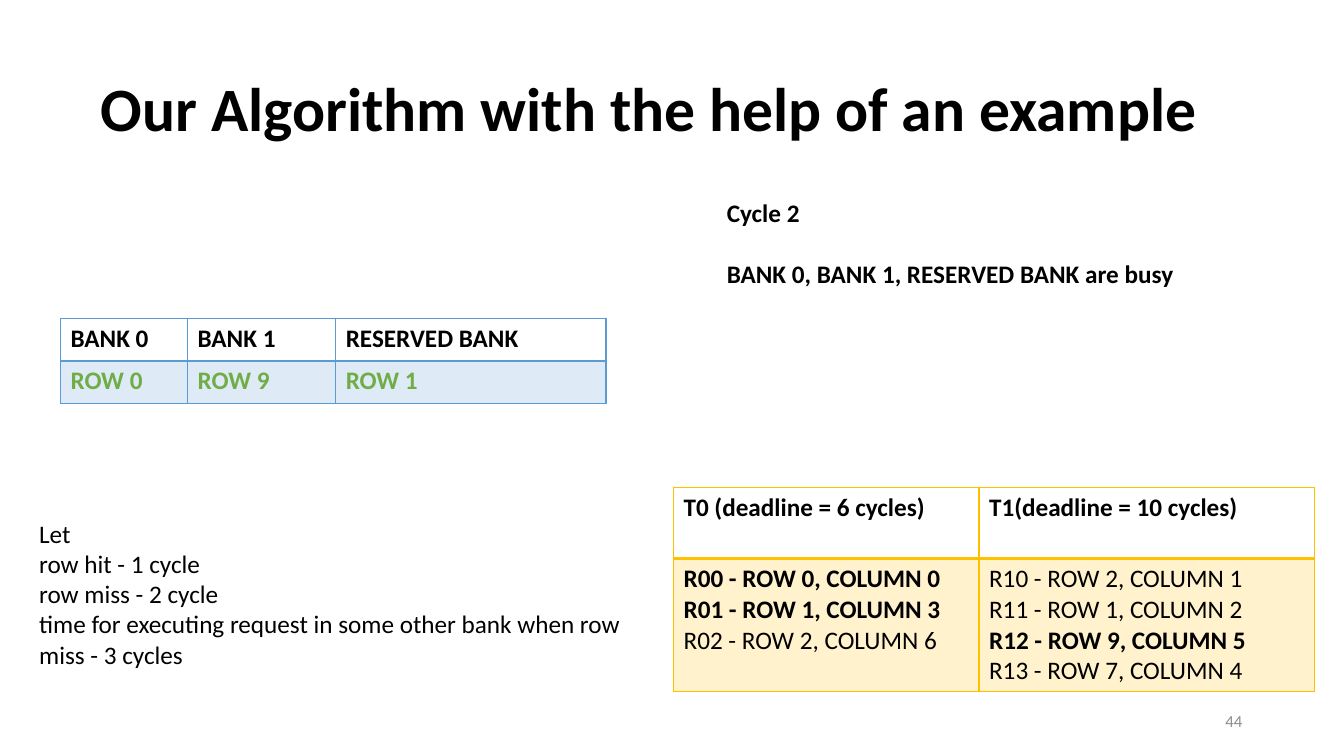
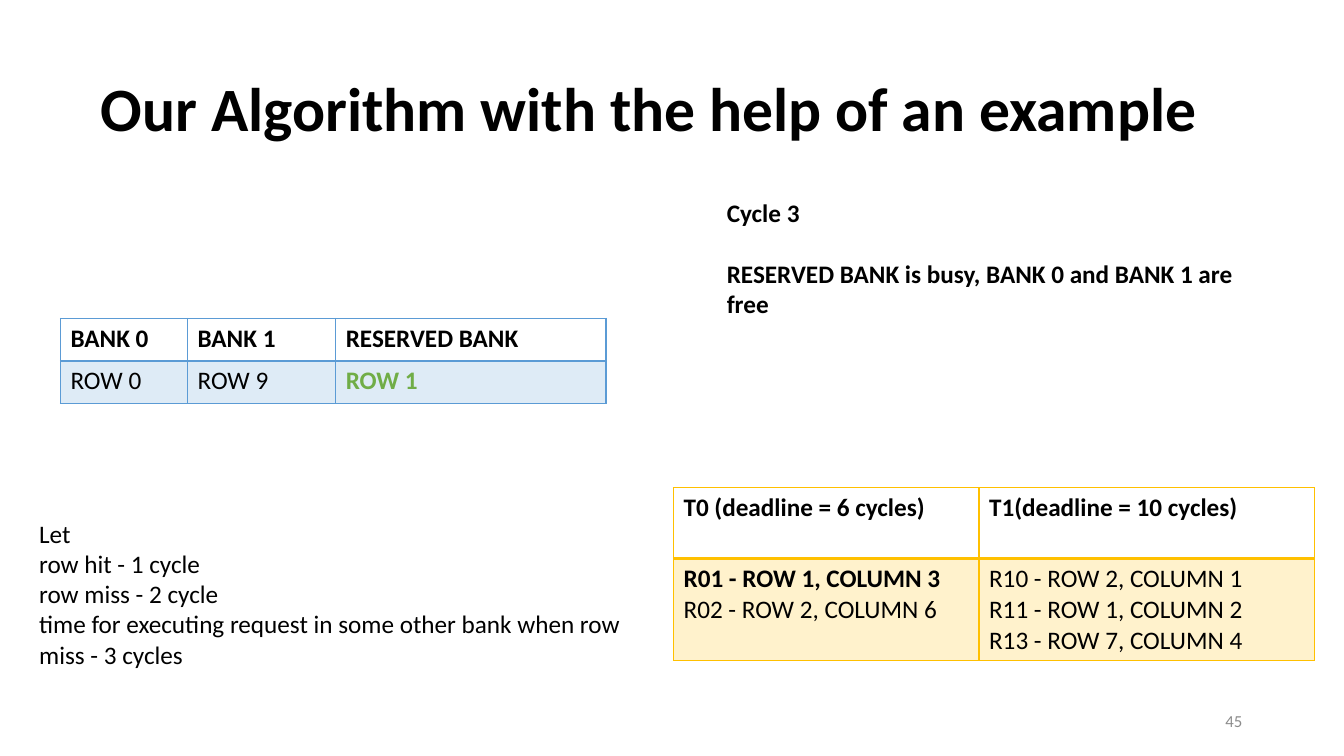
"""Build two slides that step a bank scheduling example through cycles 2 and 3."""
import pptx
import pptx.dml.color
import pptx.enum.text
import pptx.oxml
import pptx.oxml.ns
import pptx.util
from pptx.util import Inches

FONT = "Calibri"
BLACK, GRAY, GREEN = "000000", "8C8C8C", "70AD47"
BLUE, GOLD = "5B9BD5", "FFC000"
TINT_ALPHA = 20000
LINE_HEIGHT, CELL_PADDING = 0.3, 0.1
FIRST_NUMBER = 44

PLAIN = {}
BOLD = {"bold": True}
BUSY = {"bold": True, "color": GREEN}

TITLE = "Our Algorithm with the help of an example"
ASSUMPTIONS = [
    ("Let", PLAIN),
    ("row hit - 1 cycle", PLAIN),
    ("row miss - 2 cycle", PLAIN),
    ("time for executing request in some other bank when row miss - 3 cycles", PLAIN),
]
BANKS = ["BANK 0", "BANK 1", "RESERVED BANK"]
THREADS = ["T0 (deadline = 6 cycles)", "T1(deadline = 10 cycles)"]
CYCLES = [
    {
        "status": ["Cycle 2", "BANK 0, BANK 1, RESERVED BANK are busy"],
        "rows": [("ROW 0", BUSY), ("ROW 9", BUSY), ("ROW 1", BUSY)],
        "requests": [
            [("R00 - ROW 0, COLUMN 0", BOLD), ("R01 - ROW 1, COLUMN 3", BOLD),
             ("R02 - ROW 2, COLUMN 6", PLAIN)],
            [("R10 - ROW 2, COLUMN 1", PLAIN), ("R11 - ROW 1, COLUMN 2", PLAIN),
             ("R12 - ROW 9, COLUMN 5", BOLD), ("R13 - ROW 7, COLUMN 4", PLAIN)],
        ],
    },
    {
        "status": ["Cycle 3", "RESERVED BANK is busy, BANK 0 and BANK 1 are free"],
        "rows": [("ROW 0", PLAIN), ("ROW 9", PLAIN), ("ROW 1", BUSY)],
        "requests": [
            [("R01 - ROW 1, COLUMN 3", BOLD), ("R02 - ROW 2, COLUMN 6", PLAIN)],
            [("R10 - ROW 2, COLUMN 1", PLAIN), ("R11 - ROW 1, COLUMN 2", PLAIN),
             ("R13 - ROW 7, COLUMN 4", PLAIN)],
        ],
    },
]


def rgb(value):
    return pptx.dml.color.RGBColor.from_string(value)


def write(frame, lines, size=18, gap=0):
    frame.word_wrap = True
    for index, (text, style) in enumerate(lines):
        para = frame.add_paragraph() if index else frame.paragraphs[0]
        if index and gap:
            para.space_before = pptx.util.Pt(gap)
        span = para.add_run()
        span.text = text
        span.font.name = FONT
        span.font.size = pptx.util.Pt(size)
        span.font.bold = style.get("bold", False)
        span.font.color.rgb = rgb(style.get("color", BLACK))


def add_text(page, place, lines, **options):
    box = page.shapes.add_textbox(*map(Inches, place))
    write(box.text_frame, lines, **options)
    return box.text_frame


def add_title(page):
    title = page.shapes.title
    title.left, title.top, title.width, title.height = map(Inches, (0.9, 0.38, 11.5, 1.45))
    frame = title.text_frame
    frame.vertical_anchor = pptx.enum.text.MSO_ANCHOR.MIDDLE
    write(frame, [(TITLE, BOLD)], size=44)
    frame.paragraphs[0].alignment = pptx.enum.text.PP_ALIGN.LEFT
    frame.paragraphs[0].line_spacing = 0.9


def add_number(page, number):
    frame = add_text(page, (9.42, 6.95, 3, 0.4), [(str(number), {"color": GRAY})], size=12)
    frame.vertical_anchor = pptx.enum.text.MSO_ANCHOR.MIDDLE
    frame.paragraphs[0].alignment = pptx.enum.text.PP_ALIGN.RIGHT


def set_borders(cell, color, bottom):
    properties = cell._tc.get_or_add_tcPr()
    for side, width in (("L", 1), ("R", 1), ("T", 1), ("B", bottom)):
        properties.append(pptx.oxml.parse_xml(
            f'<a:ln{side} {pptx.oxml.ns.nsdecls("a")} w="{pptx.util.Pt(width)}">'
            f'<a:solidFill><a:srgbClr val="{color}"/></a:solidFill></a:ln{side}>'))


def tint(cell, color):
    cell.fill.solid()
    cell.fill.fore_color.rgb = rgb(color)
    tone = cell._tc.tcPr.find(pptx.oxml.ns.qn("a:solidFill"))[0]
    tone.append(pptx.oxml.parse_xml(
        f'<a:alpha {pptx.oxml.ns.nsdecls("a")} val="{TINT_ALPHA}"/>'))


def add_grid(page, corner, widths, heights, color, headings, body):
    size = (sum(widths), sum(heights))
    table = page.shapes.add_table(2, len(widths), *map(Inches, corner + size)).table
    table.horz_banding = False
    for row, height in zip(table.rows, heights):
        row.height = Inches(height)
    for index, (width, heading, lines) in enumerate(zip(widths, headings, body)):
        table.columns[index].width = Inches(width)
        head, cell = table.cell(0, index), table.cell(1, index)
        write(head.text_frame, [(heading, BOLD)])
        set_borders(head, color, 2)
        head.fill.background()
        write(cell.text_frame, lines)
        set_borders(cell, color, 1)
        tint(cell, color)


def add_cycle(deck, cycle, number):
    page = deck.slides.add_slide(deck.slide_layouts[5])
    add_title(page)
    requests = cycle["requests"]
    request_height = LINE_HEIGHT * max(map(len, requests)) + CELL_PADDING
    add_grid(page, (6.68, 4.84), (3.03, 3.33), (0.7, request_height), GOLD, THREADS, requests)
    add_text(page, (7.11, 1.91, 5.62, 1), [(text, BOLD) for text in cycle["status"]], gap=22)
    add_grid(page, (0.6, 3.16), (1.26, 1.47, 2.68), (0.42, 0.42), BLUE, BANKS,
             [[row] for row in cycle["rows"]])
    add_text(page, (0.29, 5.09, 6.18, 1.6), ASSUMPTIONS)
    add_number(page, number)


def main():
    deck = pptx.Presentation()
    deck.slide_width, deck.slide_height = Inches(13.33), Inches(7.5)
    for number, cycle in enumerate(CYCLES, FIRST_NUMBER):
        add_cycle(deck, cycle, number)
    deck.save("out.pptx")


if __name__ == "__main__":
    main()
